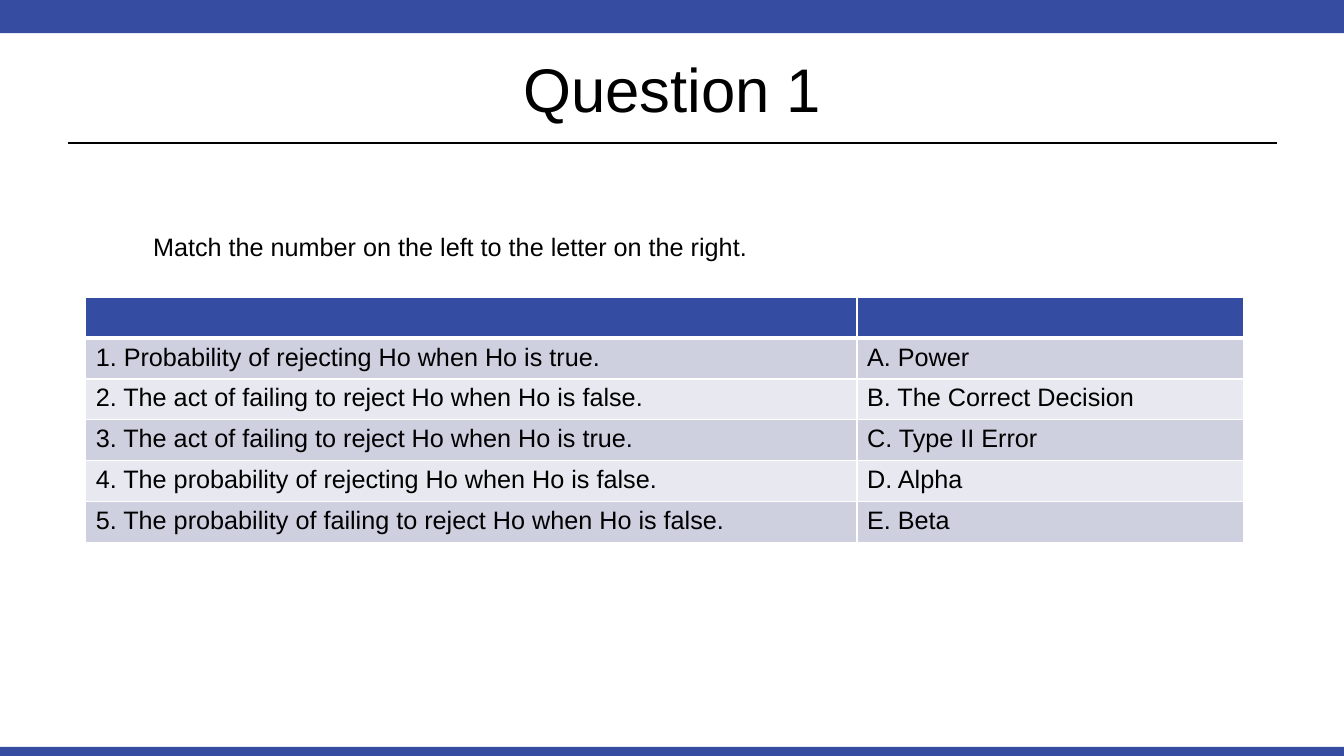
from lxml.etree import SubElement
from pptx import Presentation
from pptx.dml.color import RGBColor
from pptx.enum.shapes import MSO_CONNECTOR, MSO_SHAPE
from pptx.enum.text import MSO_ANCHOR, PP_ALIGN
from pptx.oxml.ns import qn
from pptx.util import Inches, Pt

COLORS = {
    "bar": "354CA1",
    "header": "344CA1",
    "odd_row": "CED0E0",
    "even_row": "E8E9F0",
    "text": "000000",
    "border": "FFFFFF",
}

MATCHES = [
    ("1. Probability of rejecting Ho when Ho is true.", "A. Power"),
    ("2. The act of failing to reject Ho when Ho is false.", "B. The Correct Decision"),
    ("3. The act of failing to reject Ho when Ho is true.", "C. Type II Error"),
    ("4. The probability of rejecting Ho when Ho is false.", "D. Alpha"),
    ("5. The probability of failing to reject Ho when Ho is false.", "E. Beta"),
]


def color(name):
    return RGBColor.from_string(COLORS[name])


class QuestionSlide:
    font_name = "Arial"
    title_size = 44
    body_size = 18

    def __init__(self, presentation):
        self.slide = presentation.slides.add_slide(presentation.slide_layouts[5])
        self.shapes = self.slide.shapes

    def set_text(self, text_frame, text, size, align=PP_ALIGN.LEFT):
        text_frame.text = text
        paragraph = text_frame.paragraphs[0]
        paragraph.alignment = align
        paragraph.font.name = self.font_name
        paragraph.font.size = Pt(size)
        paragraph.font.color.rgb = color("text")

    def bar(self, top, height):
        shape = self.shapes.add_shape(
            MSO_SHAPE.RECTANGLE, 0, Inches(top), Inches(13.33), Inches(height))
        shape.shadow.inherit = False
        shape.fill.solid()
        shape.fill.fore_color.rgb = color("bar")
        shape.line.fill.background()

    def rule(self, left, right, y):
        line = self.shapes.add_connector(
            MSO_CONNECTOR.STRAIGHT, Inches(left), Inches(y), Inches(right), Inches(y))
        line.line.color.rgb = color("text")
        line.line.width = Pt(1.25)
        SubElement(line._element.spPr, qn("a:effectLst"))

    def title(self, text, left, top, width, height):
        title = self.shapes.title
        title.left, title.top = Inches(left), Inches(top)
        title.width, title.height = Inches(width), Inches(height)
        title.text_frame.vertical_anchor = MSO_ANCHOR.MIDDLE
        self.set_text(title.text_frame, text, self.title_size, PP_ALIGN.CENTER)

    def text(self, text, left, top, width, height):
        box = self.shapes.add_textbox(
            Inches(left), Inches(top), Inches(width), Inches(height))
        box.text_frame.word_wrap = True
        self.set_text(box.text_frame, text, self.body_size)

    def cell_borders(self, cell, top_width, bottom_width):
        properties = cell._tc.get_or_add_tcPr()
        widths = {"lnL": 1, "lnR": 1, "lnT": top_width, "lnB": bottom_width}
        for side, width in widths.items():
            border = SubElement(properties, qn(f"a:{side}"), w=str(Pt(width)))
            fill = SubElement(border, qn("a:solidFill"))
            SubElement(fill, qn("a:srgbClr"), val=COLORS["border"])

    def table(self, rows, left, top, column_widths, row_height):
        """Draw the rows below an empty header row set off by a thick border."""
        rows = [("",) * len(column_widths), *rows]
        table = self.shapes.add_table(
            len(rows), len(column_widths), Inches(left), Inches(top),
            Inches(sum(column_widths)), Inches(row_height * len(rows))).table
        for column, width in zip(table.columns, column_widths):
            column.width = Inches(width)
        for row_index, texts in enumerate(rows):
            table.rows[row_index].height = Inches(row_height)
            fill_name = "odd_row" if row_index % 2 else "even_row"
            if row_index == 0:
                fill_name = "header"
            for column_index, text in enumerate(texts):
                cell = table.cell(row_index, column_index)
                self.cell_borders(cell, 3 if row_index == 1 else 1,
                                  3 if row_index == 0 else 1)
                cell.fill.solid()
                cell.fill.fore_color.rgb = color(fill_name)
                self.set_text(cell.text_frame, text, self.body_size)


def main():
    presentation = Presentation()
    presentation.slide_width = Inches(13.33)
    presentation.slide_height = Inches(7.5)

    question = QuestionSlide(presentation)
    question.bar(7.41, 0.09)
    question.bar(0, 0.33)
    question.rule(0.67, 12.67, 1.42)
    question.title("Question 1", 0.67, 0.25, 12, 1.25)
    question.text("Match the number on the left to the letter on the right.",
                  1.42, 2.25, 10.58, 0.71)
    question.table(MATCHES, 0.85, 2.95, (7.65, 3.83), 2.43 / 6)

    presentation.save("out.pptx")


if __name__ == "__main__":
    main()
